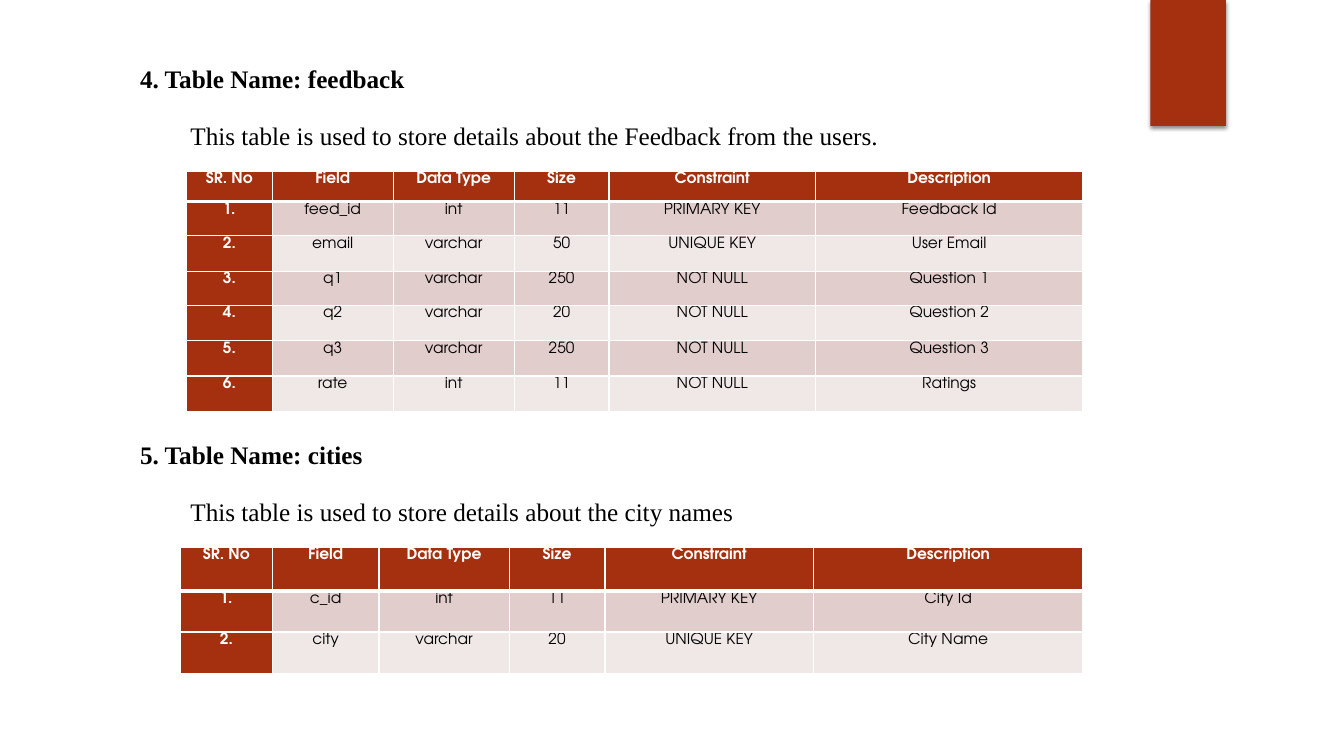
"""Build the slide that documents the feedback and cities database tables."""
from dataclasses import dataclass

from lxml.etree import Element, SubElement
from pptx import Presentation
from pptx.dml.color import RGBColor
from pptx.enum.shapes import MSO_SHAPE as Preset
from pptx.enum.text import MSO_AUTO_SIZE as AutoSize, PP_ALIGN as Align
from pptx.oxml.ns import qn
from pptx.slide import Slide
from pptx.table import _Cell as Cell
from pptx.text.text import _Paragraph as Paragraph
from pptx.util import Inches, Pt


@dataclass(frozen=True)
class Theme:
    """Colours, fonts and type sizes of the slide."""
    accent: str = "A5300F"
    band_dark: str = "E1CDCC"
    band_light: str = "F0E8E7"
    light: str = "FFFFFF"
    dark: str = "000000"
    prose_font: str = "Times New Roman"
    table_font: str = "TeX Gyre Adventor"
    prose_size: int = 18
    table_size: int = 11
    thin: int = 1
    thick: int = 3


@dataclass(frozen=True)
class TableSection:
    """A heading, a description and the table of fields below them."""
    heading: str
    description: str
    text_top: float
    table_left: float
    table_top: float
    column_widths: tuple[float, ...]
    row_heights: tuple[float, ...]
    fields: tuple[tuple[str, ...], ...]


THEME = Theme()
HEADER = ("SR. No", "Field", "Data Type", "Size", "Constraint", "Description")
SECTIONS = (
    TableSection(
        "4. Table Name: feedback",
        "This table is used to store details about the Feedback from the users.",
        0.56, 1.85, 1.7,
        (0.85, 1.2, 1.2, 0.94, 2.05, 2.65),
        (0.3, 0.34, 0.35, 0.34, 0.35, 0.35, 0.35),
        (
            ("feed_id", "int", "11", "PRIMARY KEY", "Feedback Id"),
            ("email", "varchar", "50", "UNIQUE KEY", "User Email"),
            ("q1", "varchar", "250", "NOT NULL", "Question 1"),
            ("q2", "varchar", "20", "NOT NULL", "Question 2"),
            ("q3", "varchar", "250", "NOT NULL", "Question 3"),
            ("rate", "int", "11", "NOT NULL", "Ratings"),
        ),
    ),
    TableSection(
        "5. Table Name: cities",
        "This table is used to store details about the city names",
        4.29, 1.79, 5.43,
        (0.91, 1.06, 1.29, 0.95, 2.07, 2.67),
        (0.43, 0.41, 0.41),
        (
            ("c_id", "int", "11", "PRIMARY KEY", "City Id"),
            ("city", "varchar", "20", "UNIQUE KEY", "City Name"),
        ),
    ),
)


def style_runs(paragraph: Paragraph, font: str, size: int, color: str, bold: bool) -> None:
    """Give every run of a paragraph the same font."""
    for run in paragraph.runs:
        run.font.name = font
        run.font.size = Pt(size)
        run.font.bold = bold
        run.font.color.rgb = RGBColor.from_string(color)


def add_accent_tab(slide: Slide) -> None:
    """Draw the shadowed tab at the top edge."""
    shape = slide.shapes.add_shape(
        Preset.RECTANGLE, Inches(11.41), 0, Inches(0.75), Inches(1.25))
    shape.fill.solid()
    shape.fill.fore_color.rgb = RGBColor.from_string(THEME.accent)
    shape.line.fill.background()
    shape.shadow.inherit = False
    effects = shape.element.spPr.find(qn("a:effectLst"))
    shadow = SubElement(effects, qn("a:outerShdw"), blurRad=str(Pt(3)),
                        dist=str(Pt(2)), dir="5400000", rotWithShape="0")
    color = SubElement(shadow, qn("a:srgbClr"), val=THEME.dark)
    SubElement(color, qn("a:alpha"), val="45000")


def add_section_text(slide: Slide, section: TableSection) -> None:
    """Write the heading and the indented description."""
    box = slide.shapes.add_textbox(
        Inches(1.29), Inches(section.text_top), Inches(9.95), Inches(0.94))
    text_frame = box.text_frame
    text_frame.word_wrap = True
    text_frame.auto_size = AutoSize.SHAPE_TO_FIT_TEXT
    text_frame.text = f"{section.heading}\n{section.description}"
    heading, description = text_frame.paragraphs
    for paragraph, spacing in ((heading, 1.07), (description, 1.5)):
        paragraph.line_spacing = spacing
        paragraph.space_after = Pt(8)
        style_runs(paragraph, THEME.prose_font, THEME.prose_size, THEME.dark,
                   paragraph is heading)
    description._p.get_or_add_pPr().set("indent", str(Inches(0.5)))


def set_borders(cell: Cell, top: int, bottom: int) -> None:
    """Rule the four sides of a cell, with widths in points."""
    properties = cell._tc.get_or_add_tcPr()
    widths = {"lnL": THEME.thin, "lnR": THEME.thin, "lnT": top, "lnB": bottom}
    for position, (side, width) in enumerate(widths.items()):
        line = Element(qn(f"a:{side}"), w=str(Pt(width)))
        fill = SubElement(line, qn("a:solidFill"))
        SubElement(fill, qn("a:srgbClr"), val=THEME.light)
        properties.insert(position, line)


def fill_cell(cell: Cell, text: str, row: int, column: int) -> None:
    """Write and colour a cell according to its place in the table."""
    is_title = row == 0 or column == 0
    band = THEME.band_dark if row % 2 else THEME.band_light
    cell.margin_left = cell.margin_right = Inches(0.07)
    cell.margin_top = cell.margin_bottom = 0
    cell.fill.solid()
    cell.fill.fore_color.rgb = RGBColor.from_string(THEME.accent if is_title else band)
    cell.text_frame.text = text
    paragraph = cell.text_frame.paragraphs[0]
    paragraph.alignment = Align.CENTER
    paragraph.line_spacing = 1.07
    style_runs(paragraph, THEME.table_font, THEME.table_size,
               THEME.light if is_title else THEME.dark, is_title)
    set_borders(cell, THEME.thick if row == 1 else THEME.thin,
                THEME.thick if row == 0 else THEME.thin)


def add_field_table(slide: Slide, section: TableSection) -> None:
    """Draw the numbered table of fields."""
    rows = [HEADER] + [(f"{number}.", *field)
                       for number, field in enumerate(section.fields, start=1)]
    table = slide.shapes.add_table(
        len(rows), len(HEADER), Inches(section.table_left), Inches(section.table_top),
        Inches(sum(section.column_widths)), Inches(sum(section.row_heights))).table
    table.first_col = True
    for column, width in zip(table.columns, section.column_widths):
        column.width = Inches(width)
    for row, height in zip(table.rows, section.row_heights):
        row.height = Inches(height)
    for row_index, texts in enumerate(rows):
        for column_index, text in enumerate(texts):
            fill_cell(table.cell(row_index, column_index), text, row_index, column_index)


def main() -> None:
    """Build the slide and save it."""
    presentation = Presentation()
    presentation.slide_width = Inches(13.33)
    presentation.slide_height = Inches(7.5)
    slide = presentation.slides.add_slide(presentation.slide_layouts[6])
    add_accent_tab(slide)
    for section in SECTIONS:
        add_section_text(slide, section)
    for section in SECTIONS:
        add_field_table(slide, section)
    presentation.save("out.pptx")


if __name__ == "__main__":
    main()
